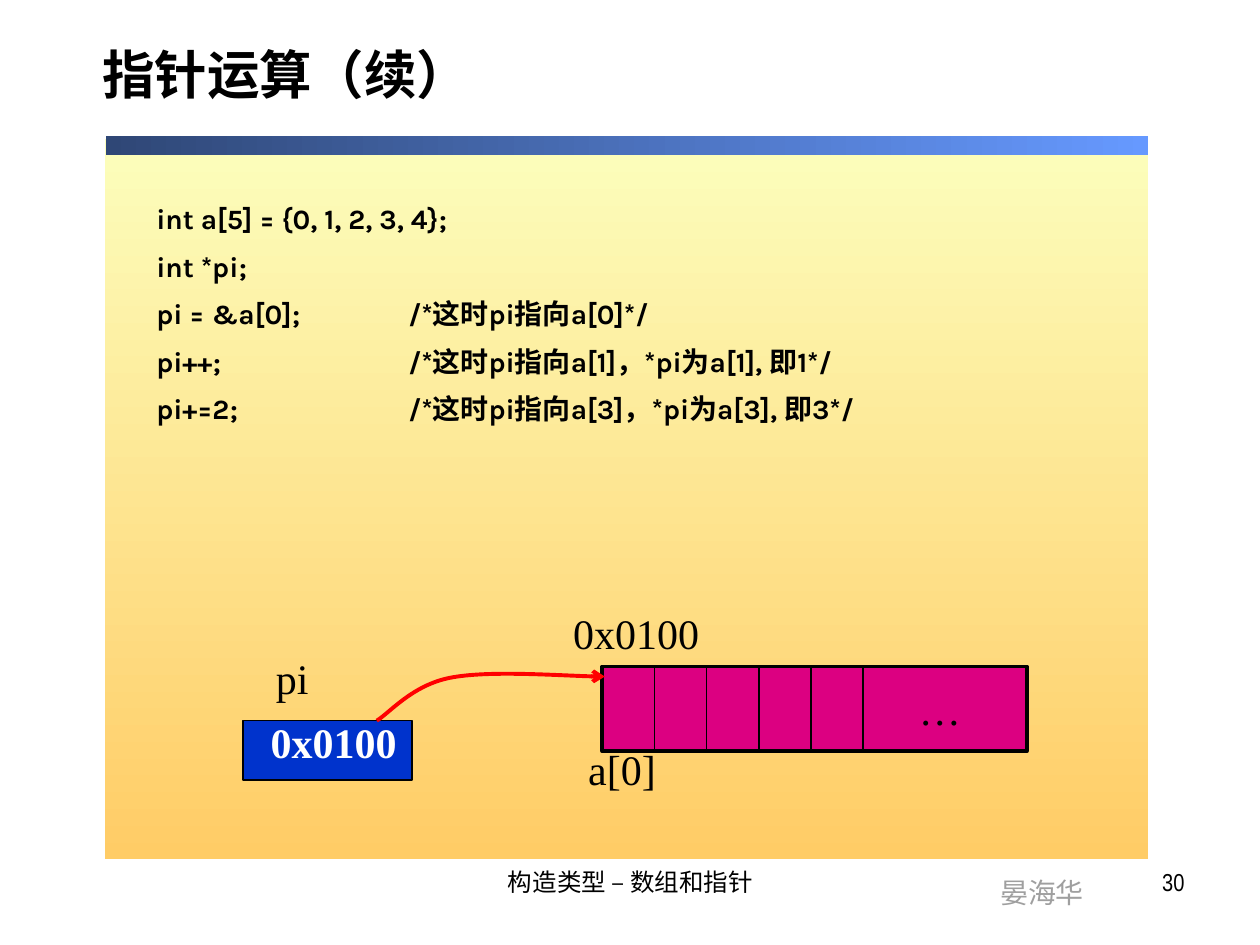
from dataclasses import dataclass

from lxml.etree import SubElement
from pptx import Presentation
from pptx.dml.color import RGBColor
from pptx.enum.shapes import MSO_CONNECTOR, MSO_SHAPE
from pptx.enum.text import MSO_ANCHOR, MSO_AUTO_SIZE, PP_ALIGN
from pptx.oxml.ns import qn
from pptx.util import Inches, Pt


@dataclass(frozen=True)
class Theme:
    black: str = "000000"
    white: str = "FFFFFF"
    author: str = "9F9F9F"
    panel: tuple = ("FCFEBC", "FFCC66")
    bar: tuple = ("2F4776", "6699FF")
    array: str = "DC0081"
    pointer: str = "0033CC"
    arrow: str = "FF0000"
    title_size: int = 30
    label_size: int = 24
    body_size: int = 16
    footer_size: int = 14
    title_font: str = "Arial Narrow"
    author_font: str = "Arial"
    code_font: str = "Karla"
    label_font: str = "Times New Roman"


@dataclass(frozen=True)
class Box:
    left: float
    top: float
    width: float
    height: float

    def lengths(self) -> list:
        return [Inches(v) for v in (self.left, self.top, self.width, self.height)]


@dataclass(frozen=True)
class Label:
    text: str
    box: Box
    size: int
    font: str
    color: str
    bold: bool = False
    align: PP_ALIGN = PP_ALIGN.LEFT
    wrap: bool = True


THEME = Theme()
ARRAY = Box(4.78, 5.29, 3.37, 0.67)
CELL_WIDTH = 0.414
CELL_COUNT = 5
TAB_DISTANCE = Inches(1)

LABELS = [
    Label("晏海华", Box(7.84, 6.9, 0.87, 0.37), THEME.body_size,
          THEME.author_font, THEME.author, wrap=False),
    Label("构造类型 – 数组和指针", Box(3.42, 6.83, 3.17, 0.52), THEME.footer_size,
          THEME.title_font, THEME.black, align=PP_ALIGN.CENTER),
    Label("30", Box(7.17, 6.83, 2.33, 0.52), THEME.footer_size,
          THEME.title_font, THEME.black, align=PP_ALIGN.RIGHT),
    Label("a[0]", Box(4.57, 5.85, 0.74, 0.5), THEME.label_size,
          THEME.label_font, THEME.black, wrap=False),
    Label("pi", Box(2.09, 5.13, 0.59, 0.5), THEME.label_size,
          THEME.label_font, THEME.black),
    Label("0x0100", Box(4.45, 4.77, 1.34, 0.5), THEME.label_size,
          THEME.label_font, THEME.black),
    Label("0x0100", Box(2.05, 5.64, 1.38, 0.5), THEME.label_size,
          THEME.label_font, THEME.white, bold=True),
]

CODE = [
    "int a[5] = {0, 1, 2, 3, 4};",
    "int *pi;",
    "pi = &a[0];\t/*这时pi指向a[0]*/",
    "pi++;\t\t/*这时pi指向a[1]，*pi为a[1], 即1*/",
    "pi+=2;\t\t/*这时pi指向a[3]，*pi为a[3], 即3*/",
]

# Start point, then two controls and an end for each curve
ARROW_POINTS = [(2.99, 5.72), (3.09, 5.66), (3.27, 5.44), (3.57, 5.38),
                (3.87, 5.32), (4.55, 5.37), (4.8, 5.37)]


def format_font(font, size: int, name: str, color: str, bold: bool = False) -> None:
    for attribute, value in {"size": Pt(size), "name": name, "bold": bold}.items():
        setattr(font, attribute, value)
    font.color.rgb = RGBColor.from_string(color)


def place(shape, box: Box) -> None:
    for attribute, value in zip(("left", "top", "width", "height"), box.lengths()):
        setattr(shape, attribute, value)


def format_line(line, color: str, width: float) -> None:
    line.color.rgb = RGBColor.from_string(color)
    line.width = Pt(width)


def add_rectangle(slide, box: Box):
    shape = slide.shapes.add_shape(MSO_SHAPE.RECTANGLE, *box.lengths())
    shape.shadow.inherit = False
    return shape


def add_gradient(slide, box: Box, colors: tuple, angle: int) -> None:
    shape = add_rectangle(slide, box)
    shape.line.fill.background()
    shape.fill.gradient()
    shape.fill.gradient_angle = angle
    for stop, color in zip(shape.fill.gradient_stops, colors):
        stop.color.rgb = RGBColor.from_string(color)


def add_solid(slide, box: Box, color: str, line_width: float):
    shape = add_rectangle(slide, box)
    shape.fill.solid()
    shape.fill.fore_color.rgb = RGBColor.from_string(color)
    format_line(shape.line, THEME.black, line_width)
    return shape


def add_label(slide, label: Label) -> None:
    frame = slide.shapes.add_textbox(*label.box.lengths()).text_frame
    frame.word_wrap = label.wrap
    paragraph = frame.paragraphs[0]
    paragraph.text = label.text
    paragraph.alignment = label.align
    format_font(paragraph.font, label.size, label.font, label.color, label.bold)


def add_array(slide) -> None:
    shape = add_solid(slide, ARRAY, THEME.array, 2.25)
    frame = shape.text_frame
    frame.margin_left, frame.margin_right = Inches(1.99), 0
    frame.vertical_anchor = MSO_ANCHOR.MIDDLE
    paragraph = frame.paragraphs[0]
    paragraph.text = "…"
    paragraph.alignment = PP_ALIGN.CENTER
    format_font(paragraph.font, THEME.label_size, THEME.label_font, THEME.black)
    for index in range(1, CELL_COUNT + 1):
        x = Inches(ARRAY.left + index * CELL_WIDTH)
        divider = slide.shapes.add_connector(
            MSO_CONNECTOR.STRAIGHT, x, Inches(ARRAY.top),
            x, Inches(ARRAY.top + ARRAY.height))
        format_line(divider.line, THEME.black, 1)
        SubElement(divider._element.spPr, qn("a:effectLst"))


def add_curved_arrow(slide) -> None:
    points = [(Inches(x), Inches(y)) for x, y in ARROW_POINTS]
    builder = slide.shapes.build_freeform(*points[0])
    builder.add_line_segments(points[1:], close=False)
    shape = builder.convert_to_shape()
    shape.shadow.inherit = False
    shape.fill.background()
    format_line(shape.line, THEME.arrow, 2.25)
    SubElement(shape.line._get_or_add_ln(), qn("a:tailEnd"), type="arrow")
    # Turn each three points into one Bezier curve
    outline = shape._element.find(".//" + qn("a:path"))
    segments = outline.findall(qn("a:lnTo"))
    for index, segment in enumerate(segments):
        if index % 3 == 0:
            curve = SubElement(outline, qn("a:cubicBezTo"))
        curve.append(segment[0])
        outline.remove(segment)


def fill_title(title) -> None:
    place(title, Box(0.71, 0.17, 8.96, 0.92))
    title.text_frame.vertical_anchor = MSO_ANCHOR.MIDDLE
    paragraph = title.text_frame.paragraphs[0]
    paragraph.text = "指针运算（续）"
    paragraph.alignment = PP_ALIGN.LEFT
    paragraph.line_spacing = 0.8
    format_font(paragraph.font, THEME.title_size, THEME.title_font, THEME.black, True)


def fill_code(body) -> None:
    place(body, Box(1.14, 1.55, 7.72, 1.97))
    frame = body.text_frame
    frame.auto_size = MSO_AUTO_SIZE.NONE
    for index, text in enumerate(CODE):
        paragraph = frame.add_paragraph() if index else frame.paragraphs[0]
        paragraph.text = text
        properties = paragraph._p.get_or_add_pPr()
        for name, value in {"marL": 0, "indent": 0, "defTabSz": TAB_DISTANCE}.items():
            properties.set(name, str(value))
        SubElement(properties, qn("a:buNone"))
        paragraph.space_before = Pt(8 if index else 0)
        format_font(paragraph.font, THEME.body_size, THEME.code_font, THEME.black, True)


def main() -> None:
    presentation = Presentation()
    presentation.slide_width, presentation.slide_height = Inches(10), Inches(7.5)
    slide = presentation.slides.add_slide(presentation.slide_layouts[1])
    title, body = slide.placeholders
    # Background panel and bar
    add_gradient(slide, Box(0.83, 1.1, 8.28, 5.72), THEME.panel, 270)
    add_gradient(slide, Box(0.84, 1.08, 8.27, 0.15), THEME.bar, 0)
    # Array, pointer variable and the arrow between them
    add_array(slide)
    add_solid(slide, Box(1.93, 5.72, 1.34, 0.47), THEME.pointer, 0.75)
    add_curved_arrow(slide)
    for label in LABELS:
        add_label(slide, label)
    # Title and code, brought in front of the panel
    fill_title(title)
    fill_code(body)
    for placeholder in (body, title):
        slide.shapes._spTree.append(placeholder._element)
    presentation.save("out.pptx")


if __name__ == "__main__":
    main()
